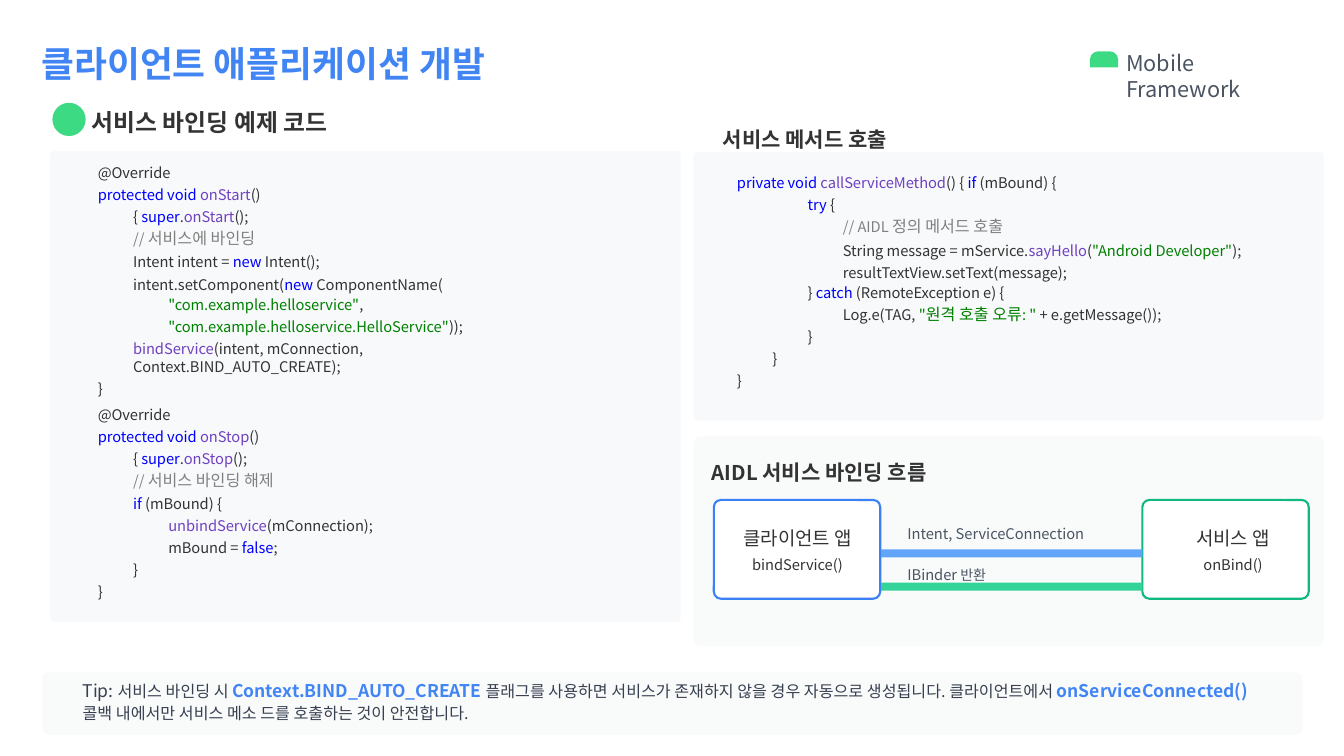
from pptx import Presentation
from pptx import util as u
from pptx.dml.color import RGBColor
from pptx.enum import shapes, text
from pptx.oxml.ns import qn

WIDTH, HEIGHT = 13.33, 7.5
FONT = "Noto Sans CJK KR"
INK, SLATE, NAVY, BLUE, GREEN = "333333", "4A5462", "374050", "4185F4", "3CDB83"
CODE_SIZE, CODE_PITCH, CODE_INDENT = 10.5, 15.7, 0.35

# Marked runs read [style letter + text]: (colour, size, bold), None keeps the line's own value
STYLES = {
    "k": ("0000FF", None, False),   # keyword
    "f": ("6F41C1", None, False),   # function
    "s": ("008000", None, False),   # string
    "S": ("008000", 11.5, False),   # Korean string
    "c": ("808080", None, False),   # comment
    "C": ("808080", 11.5, False),   # Korean comment
    "t": (NAVY, 12.5, False),       # tip label
    "e": (BLUE, 12.5, True),        # emphasis in the tip
    "a": (None, 14.5, True),        # Latin part of the flow heading
    "r": (None, 10, False),         # Korean part of an arrow label
}

# Code lines: indent level, marked text, optional line pitch in points
ON_START = [
    (0, "@Override"),
    (0, "[kprotected void ][fonStart]()"),
    (1, "{ [ksuper].[fonStart]();"),
    (1, "[c// ][C서비스에 바인딩]"),
    (1, "Intent intent = [knew ]Intent();", 16.4),
    (1, "intent.setComponent([knew ]ComponentName(", 16.4),
    (2, '[s"com.example.helloservice"],', 14.3),
    (2, '[s"com.example.helloservice.HelloService"]));'),
    (1, "[fbindService](intent, mConnection,"),
    (1, "Context.BIND_AUTO_CREATE);", 12.9),
    (0, "}"),
]
ON_STOP = [
    (0, "@Override"),
    (0, "[kprotected void ][fonStop]()"),
    (1, "{ [ksuper].[fonStop]();"),
    (1, "[c// ][C서비스 바인딩 해제]"),
    (1, "[kif ](mBound) {", 16.4),
    (2, "[funbindService](mConnection);"),
    (2, "mBound = [kfalse];"),
    (1, "}"),
    (0, "}"),
]
CALL_METHOD = [
    (0, "[kprivate void ][fcallServiceMethod]() { [kif ](mBound) {"),
    (2, "[ktry ]{"),
    (3, "[c// AIDL ][C정의 메서드 호출]"),
    (3, 'String message = mService.[fsayHello]([s"Android Developer"]);', 17.1),
    (3, "resultTextView.setText(message);"),
    (2, "} [kcatch ](RemoteException e) {", 14.3),
    (3, 'Log.e(TAG, [s"][S원격 호출 오류][s: " ]+ e.getMessage());'),
    (2, "}"),
    (1, "}"),
    (0, "}"),
]
# Code blocks: left, first baseline, width, lines
CODE_BLOCKS = [
    (0.96, 1.76, 5.54, ON_START),
    (0.96, 4.16, 5.54, ON_STOP),
    (7.3, 1.86, 5.8, CALL_METHOD),
]
# Labels: left, first baseline, width, size, pitch, colour, bold, lines
LABELS = [
    (0.41, 0.74, 6.1, 25.5, 30.6, BLUE, True, ["클라이언트 애플리케이션 개발"]),
    (11.17, 0.69, 1.77, 15.5, 18.6, SLATE, False, ["Mobile\vFramework"]),
    (0.91, 1.29, 3.49, 17, 20.4, INK, True, ["서비스 바인딩 예제 코드"]),
    (7.17, 1.45, 3, 15, 18, INK, True, ["서비스 메서드 호출"]),
    (7.06, 4.75, 2.68, 15, 18, INK, True, ["[aAIDL ]서비스 바인딩 흐름"]),
    (9, 5.34, 2.03, 10.5, 12.6, SLATE, False, ["Intent, ServiceConnection"]),
    (9, 5.75, 1.28, 10.5, 12.6, SLATE, False, ["IBinder [r반환]"]),
    (0.82, 6.91, 11.99, 11.5, 15.5, NAVY, False, [
        "[tTip: ]서비스 바인딩 시 [eContext.BIND_AUTO_CREATE ]플래그를 사용하면 서비스가 "
        "존재하지 않을 경우 자동으로 생성됩니다. 클라이언트에서 [eonServiceConnected() ]"
        "\v콜백 내에서만 서비스 메소 드를 호출하는 것이 안전합니다."]),
]
# Panels: left, top, width, height, corner radius, fill
PANELS = [
    (0.5, 1.5, 6.25, 4.67, 0.04, "F7F9FA"),
    (6.88, 1.51, 6.25, 2.66, 0.04, "F7F9FA"),
    (6.88, 4.33, 6.25, 2.08, 0.07, "F9FAFA"),
    (0.42, 6.67, 12.5, 0.62, 0.07, "F9FAFA"),
]
# Flow nodes: left, outline, centre of the caption, name, call
NODES = [
    (7.08, "3B81F5", 7.91, "클라이언트 앱", "bindService()"),
    (11.33, "0FB981", 12.23, "서비스 앱", "onBind()"),
]
NODE_TOP, NODE_WIDTH, NODE_HEIGHT = 4.96, 1.65, 0.98
FLOW_BARS = [(5.45, "60A5FA"), (5.78, "33D399")]
BAR_HEIGHT = 0.08

deck = Presentation()
deck.slide_width, deck.slide_height = u.Inches(WIDTH), u.Inches(HEIGHT)
slide = deck.slides.add_slide(deck.slide_layouts[6])


def color(value):
    return RGBColor.from_string(value)


def add_block(kind, left, top, width, height, fill, radius=None, outline=None):
    block = slide.shapes.add_shape(kind, *map(u.Inches, (left, top, width, height)))
    block.shadow.inherit = False
    block.fill.solid()
    block.fill.fore_color.rgb = color(fill)
    if radius is not None:
        block.adjustments[0] = radius / min(width, height)
    if outline:
        block.line.color.rgb = color(outline)
        block.line.width = u.Pt(1.5)
    else:
        block.line.fill.background()


def add_runs(paragraph, marked, size, ink, bold):
    """Fill the paragraph from text whose styled parts stand in brackets."""
    for i, part in enumerate(marked.replace("]", "[").split("[")):
        tint, own_size, own_bold = STYLES[part[0]] if i % 2 else (None, None, bold)
        words = part[1:] if i % 2 else part
        for j, piece in enumerate(words.split("\v")):
            if j:
                paragraph.add_line_break()
            if not piece:
                continue
            run = paragraph.add_run()
            run.text = piece
            run.font.name = FONT
            run.font.size = u.Pt(own_size or size)
            run.font.bold = own_bold or bold
            run.font.color.rgb = color(tint or ink)
            east_asian = run.font._element.makeelement(qn("a:ea"), {"typeface": FONT})
            run.font._element.find(qn("a:latin")).addnext(east_asian)


def add_text(left, baseline, width, lines, ink=INK, bold=False, align=text.PP_ALIGN.LEFT):
    """Place lines of (indent, marked text, size, pitch) so the first sits on the baseline."""
    size, pitch = lines[0][2:]
    top = baseline + (0.27 * size - pitch) / 72
    height = sum(line[3] * (1 + line[1].count("\v")) for line in lines) / 72
    box = slide.shapes.add_textbox(*map(u.Inches, (left, top, width, height)))
    frame = box.text_frame
    frame.word_wrap = True
    frame.margin_left = frame.margin_right = frame.margin_top = frame.margin_bottom = 0
    for i, (indent, marked, size, pitch) in enumerate(lines):
        paragraph = frame.add_paragraph() if i else frame.paragraphs[0]
        paragraph.alignment = align
        paragraph.line_spacing = u.Pt(pitch)
        if indent:
            paragraph._p.get_or_add_pPr().set("marL", str(u.Inches(indent)))
        add_runs(paragraph, marked, size, ink, bold)


ROUNDED = shapes.MSO_SHAPE.ROUNDED_RECTANGLE
for left, top, width, height, radius, fill in PANELS:
    add_block(ROUNDED, left, top, width, height, fill, radius)
add_block(shapes.MSO_SHAPE.ROUND_2_SAME_RECTANGLE, 10.81, 0.51, 0.28, 0.16, GREEN, 0.08)
add_block(shapes.MSO_SHAPE.OVAL, 0.52, 1.02, 0.33, 0.33, GREEN)

for left, outline, centre, name, call in NODES:
    add_block(ROUNDED, left, NODE_TOP, NODE_WIDTH, NODE_HEIGHT, "FFFFFF", 0.07, outline)
    add_text(centre - 0.7, 5.4, 1.4, [(0, name, 13.5, 16.2), (0, call, 10.5, 17.1)],
             align=text.PP_ALIGN.CENTER)

bar_left = NODES[0][0] + NODE_WIDTH + 0.01
for top, fill in FLOW_BARS:
    add_block(shapes.MSO_SHAPE.RECTANGLE, bar_left, top, NODES[1][0] - bar_left, BAR_HEIGHT, fill)

for left, baseline, width, size, pitch, ink, bold, lines in LABELS:
    add_text(left, baseline, width, [(0, line, size, pitch) for line in lines], ink, bold)

for left, baseline, width, lines in CODE_BLOCKS:
    add_text(left + 0.01, baseline, width, [
        (level * CODE_INDENT, marked, CODE_SIZE, pitch[0] if pitch else CODE_PITCH)
        for level, marked, *pitch in lines])

deck.save("out.pptx")
